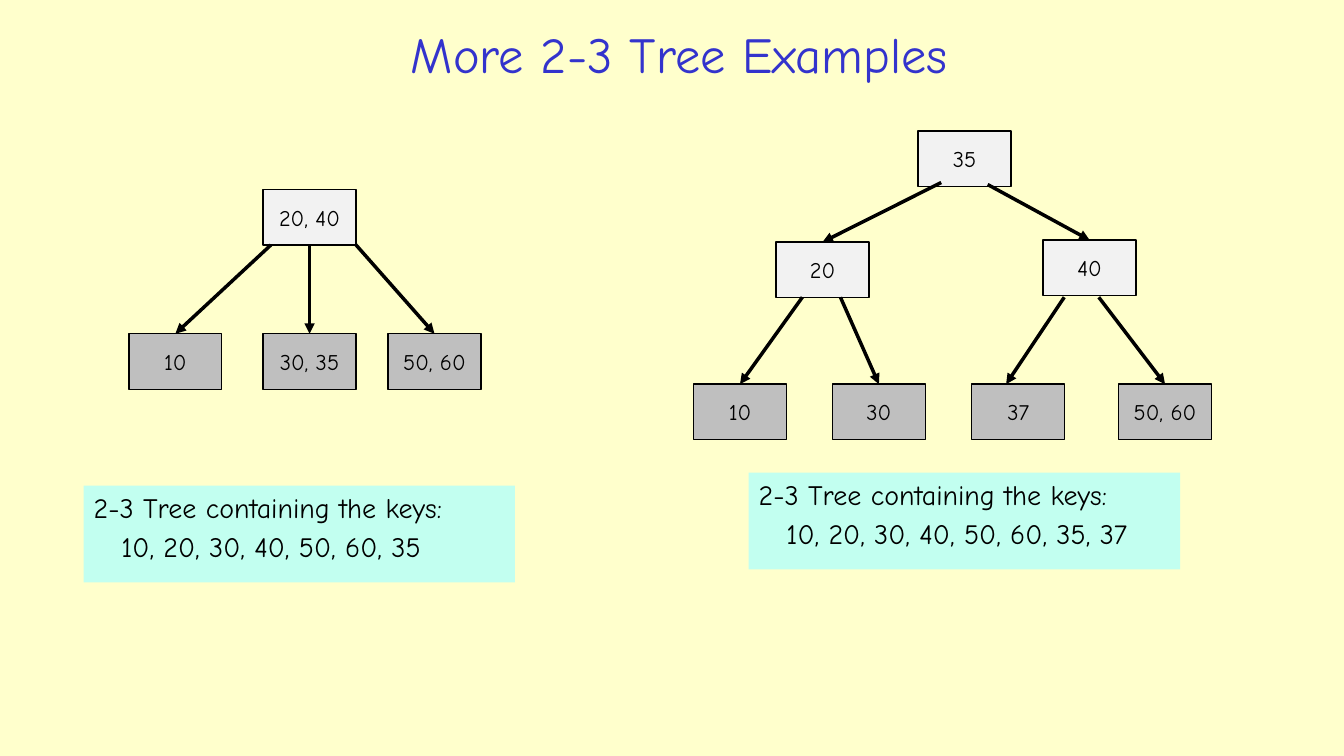
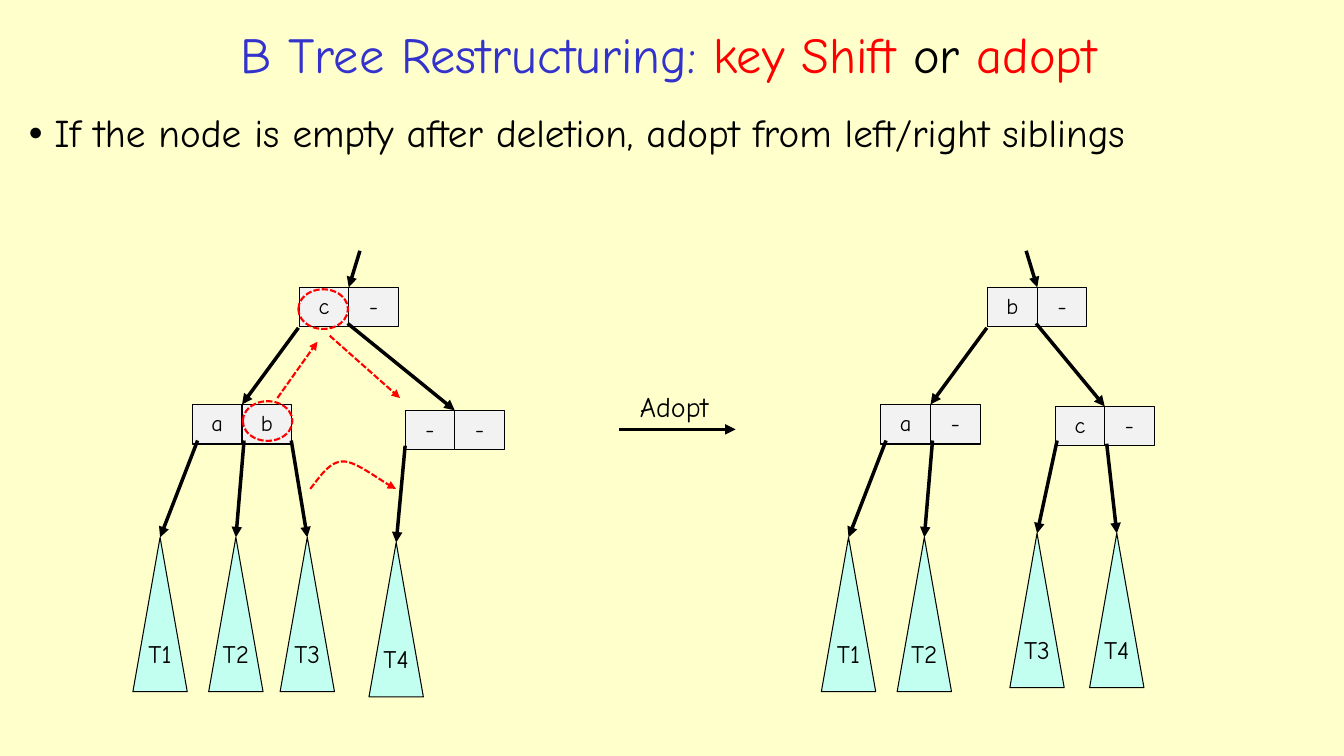
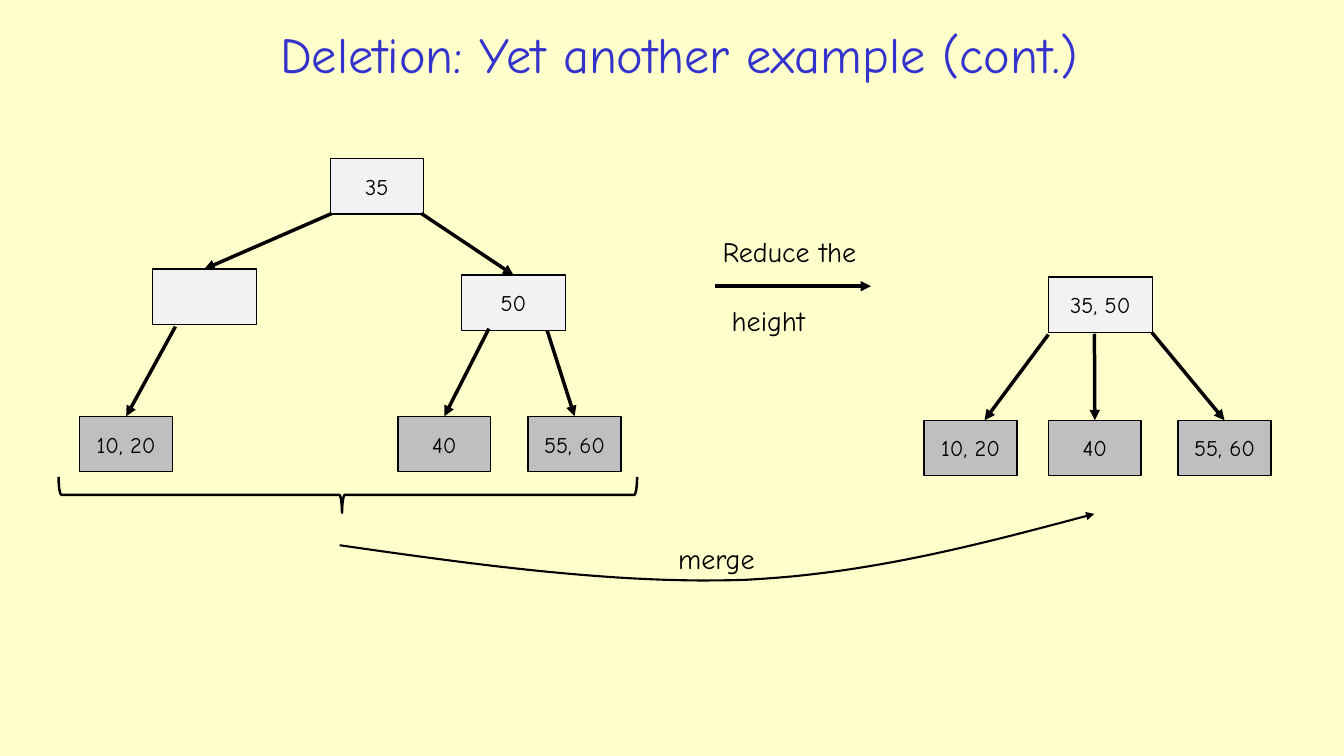
from lxml import etree
from pptx import Presentation
from pptx.dml.color import RGBColor
from pptx.enum.dml import MSO_LINE
from pptx.enum.shapes import MSO_CONNECTOR, MSO_SHAPE
from pptx.enum.text import MSO_ANCHOR, PP_ALIGN
from pptx.oxml.ns import qn
from pptx.util import Cm, Pt

RECTANGLE, TRIANGLE = MSO_SHAPE.RECTANGLE, MSO_SHAPE.ISOSCELES_TRIANGLE
ELLIPSE, BRACE = MSO_SHAPE.OVAL, MSO_SHAPE.RIGHT_BRACE
STRAIGHT, DASHED = MSO_CONNECTOR.STRAIGHT, MSO_LINE.SQUARE_DOT
TOP, MIDDLE = MSO_ANCHOR.TOP, MSO_ANCHOR.MIDDLE
LEFT, CENTER = PP_ALIGN.LEFT, PP_ALIGN.CENTER

FONT = "Comic Neue"
COLORS = {
    "background": "FFFFCC", "title": "3333CC", "black": "000000", "red": "FF0000",
    "inner": "F2F2F2", "leaf": "BFBFBF", "mint": "C2FFF0",
}
RGB = {name: RGBColor.from_string(value) for name, value in COLORS.items()}

NODE_WIDTH, WIDE_NODE, NODE_HEIGHT = 2.34, 2.62, 1.4
CELL_WIDTH, CELL_HEIGHT = 1.25, 1
SUBTREE_WIDTH, SUBTREE_HEIGHT = 1.37, 3.89
CURVE_STEPS = 24


def add_box(page, kind, at, lines=(), size=16, fill=None, line=None, line_color="black",
            anchor=MIDDLE, align=CENTER, wrap=True):
    """Add a shape, or a text box if kind is None; lines holds (words, colour) runs."""
    place = [Cm(length) for length in at]
    if kind is None:
        box = page.shapes.add_textbox(*place)
    else:
        box = page.shapes.add_shape(kind, *place)
        box.shadow.inherit = False
        if fill:
            box.fill.solid()
            box.fill.fore_color.rgb = RGB[fill]
        else:
            box.fill.background()
        if line:
            box.line.color.rgb = RGB[line_color]
            box.line.width = Pt(line)
        else:
            box.line.fill.background()
    frame = box.text_frame
    frame.word_wrap = wrap
    frame.vertical_anchor = anchor
    for number, runs in enumerate(lines):
        para = frame.add_paragraph() if number else frame.paragraphs[0]
        para.alignment = align
        for words, color in runs:
            span = para.add_run()
            span.text = words
            span.font.name = FONT
            span.font.size = Pt(size)
            span.font.color.rgb = RGB[color]
    return box


def add_arrow(page, points, color="black", width=2.5, dashed=False):
    """Draw a straight arrow through two points, or a chain of cubic curves through more."""
    if len(points) == 2:
        arrow = page.shapes.add_connector(STRAIGHT, *[Cm(v) for point in points for v in point])
    else:
        track = []
        for first in range(0, len(points) - 1, 3):
            a, b, c, d = points[first:first + 4]
            for step in range(1, CURVE_STEPS + 1):
                t = step / CURVE_STEPS
                weights = (1 - t) ** 3, 3 * t * (1 - t) ** 2, 3 * t * t * (1 - t), t ** 3
                track.append([Cm(sum(w * p[axis] for w, p in zip(weights, (a, b, c, d))))
                              for axis in (0, 1)])
        builder = page.shapes.build_freeform(Cm(points[0][0]), Cm(points[0][1]))
        builder.add_line_segments(track, close=False)
        arrow = builder.convert_to_shape()
        arrow.fill.background()
    arrow.line.color.rgb = RGB[color]
    arrow.line.width = Pt(width)
    if dashed:
        arrow.line.dash_style = DASHED
    properties = arrow.element.spPr
    etree.SubElement(properties.find(qn("a:ln")), qn("a:tailEnd"), type="triangle")
    etree.SubElement(properties, qn("a:effectLst"))


deck = Presentation()
deck.slide_width, deck.slide_height = Cm(33.87), Cm(19.05)
master_fill = deck.slide_master.background.fill
master_fill.solid()
master_fill.fore_color.rgb = RGB["background"]

# Pages and titles
titles = [
    (5, 24.23, [("More 2-3 Tree Examples", "title")]),
    (2.46, 28.78, [("B Tree Restructuring: ", "title"), ("key Shift ", "red"),
                   ("or", "black"), (" adopt", "red")]),
    (5, 24.23, [("Deletion: Yet another example (cont.)", "title")]),
]
pages = []
for left, width, runs in titles:
    page = deck.slides.add_slide(deck.slide_layouts[6])
    add_box(page, None, (left, 0.38, width, 1.93), [runs], 36)
    pages.append(page)
examples, adoption, deletion = pages

# 2-3 trees: keys, fill, left, top, width, arrow start, share of the width the arrow aims at
trees = [
    (examples, [
        ("20, 40", "inner", 6.63, 4.78, NODE_WIDTH, None, 0.5),
        ("10", "leaf", 3.25, 8.41, NODE_WIDTH, (6.83, 6.17), 0.5),
        ("30, 35", "leaf", 6.63, 8.41, NODE_WIDTH, (7.8, 6.17), 0.5),
        ("50, 60", "leaf", 9.78, 8.41, NODE_WIDTH, (8.97, 6.17), 0.5),
        ("35", "inner", 23.14, 3.3, NODE_WIDTH, None, 0.5),
        ("20", "inner", 19.56, 6.1, NODE_WIDTH, (23.72, 4.6), 0.5),
        ("40", "inner", 26.29, 6.05, NODE_WIDTH, (24.89, 4.65), 0.5),
        ("10", "leaf", 17.48, 9.68, NODE_WIDTH, (20.22, 7.49), 0.5),
        ("30", "leaf", 20.98, 9.68, NODE_WIDTH, (21.18, 7.49), 0.5),
        ("37", "leaf", 24.49, 9.68, NODE_WIDTH, (26.82, 7.49), 0.37),
        ("50, 60", "leaf", 28.19, 9.68, NODE_WIDTH, (27.69, 7.49), 0.5),
    ]),
    (deletion, [
        ("35", "inner", 8.33, 3.99, NODE_WIDTH, None, 0.5),
        ("", "inner", 3.84, 6.78, WIDE_NODE, (8.36, 5.38), 0.5),
        ("50", "inner", 11.63, 6.93, WIDE_NODE, (10.62, 5.38), 0.5),
        ("10, 20", "leaf", 2.01, 10.49, NODE_WIDTH, (4.42, 8.23), 0.5),
        ("40", "leaf", 10.03, 10.49, NODE_WIDTH, (12.32, 8.28), 0.5),
        ("55, 60", "leaf", 13.31, 10.49, NODE_WIDTH, (13.79, 8.33), 0.5),
        ("35, 50", "inner", 26.42, 6.98, WIDE_NODE, None, 0.5),
        ("10, 20", "leaf", 23.29, 10.59, NODE_WIDTH, (26.42, 8.43), 0.65),
        ("40", "leaf", 26.42, 10.59, NODE_WIDTH, (27.58, 8.41), 0.5),
        ("55, 60", "leaf", 29.69, 10.59, NODE_WIDTH, (29.03, 8.38), 0.5),
    ]),
]
for page, nodes in trees:
    for keys, fill, left, top, width, start, aim in nodes:
        lines = [[(keys, "black")]] if keys else []
        add_box(page, RECTANGLE, (left, top, width, NODE_HEIGHT), lines, fill=fill, line=1)
    for keys, fill, left, top, width, start, aim in nodes:
        if start:
            add_arrow(page, [start, (left + aim * width, top)])

# Examples: captions
captions = [
    (2.11, 12.24, "10, 20, 30, 40, 50, 60, 35"),
    (18.87, 11.91, "10, 20, 30, 40, 50, 60, 35, 37"),
]
for left, top, keys in captions:
    lines = [[("2-3 Tree containing the keys:", "black")], [(keys, "black")]]
    caption = add_box(examples, RECTANGLE, (left, top, 10.87, 2.44), lines, 20, "mint",
                      anchor=TOP, align=LEFT)
    key_para = caption.text_frame.paragraphs[1]
    key_para.space_before = Pt(4)
    key_para._p.get_or_add_pPr().set("marL", str(Cm(0.7)))

# Adoption: bullet
bullet = add_box(adoption, None, (0.48, 2.74, 32.72, 1.88),
                 [[("If the node is empty after deletion, adopt from left/right siblings", "black")]],
                 28, anchor=TOP, align=LEFT)
para = bullet.text_frame.paragraphs[0]
para.line_spacing = 0.9
settings = para._p.get_or_add_pPr()
settings.set("marL", str(Cm(0.64)))
settings.set("indent", str(Cm(-0.64)))
etree.SubElement(settings, qn("a:buFont"), typeface="Arial")
etree.SubElement(settings, qn("a:buChar"), char="•")

# Adoption: two-key nodes and subtrees, each with the start of its arrow
pairs = [
    ("c-", 7.54, 7.24, (9.07, 6.32)),
    ("ab", 4.85, 10.19, (7.52, 8.26)),
    ("--", 10.21, 10.34, (8.76, 8.15)),
    ("b-", 24.89, 7.24, (25.86, 6.32)),
    ("a-", 22.2, 10.19, (24.87, 8.26)),
    ("c-", 26.59, 10.24, (26.11, 8.15)),
]
for keys, left, top, start in pairs:
    for column, key in enumerate(keys):
        add_box(adoption, RECTANGLE, (left + column * CELL_WIDTH, top, CELL_WIDTH, CELL_HEIGHT),
                [[(key, "black")]], fill="inner", line=0.75, anchor=TOP)
for keys, left, top, start in pairs:
    add_arrow(adoption, [start, (left + CELL_WIDTH, top)])

subtrees = [
    ("T1", 3.35, 13.54, (4.98, 11.1)),
    ("T2", 5.26, 13.54, (6.15, 11.1)),
    ("T3", 7.06, 13.54, (7.34, 11.1)),
    ("T4", 9.3, 13.67, (10.21, 11.23)),
    ("T1", 20.7, 13.54, (22.33, 11.1)),
    ("T2", 22.61, 13.54, (23.5, 11.1)),
    ("T3", 25.45, 13.44, (26.64, 11.1)),
    ("T4", 27.46, 13.44, (27.89, 11.18)),
]
for name, left, top, start in subtrees:
    add_box(adoption, TRIANGLE, (left, top, SUBTREE_WIDTH, SUBTREE_HEIGHT),
            [[(name, "black")]], 18, "mint", 0.75, wrap=False)
    add_arrow(adoption, [start, (left + SUBTREE_WIDTH / 2, top)])

# Adoption: keys that move
for left, top in [(6.12, 10.11), (7.52, 7.29)]:
    ring = add_box(adoption, ELLIPSE, (left, top, CELL_WIDTH, CELL_HEIGHT),
                   line=1.5, line_color="red")
    ring.line.dash_style = DASHED
moves = [
    [(6.99, 10.03), (8, 8.61)],
    [(8.31, 8.46), (10.08, 10.03)],
    [(7.82, 12.32), (8.08, 11.99), (8.31, 11.63), (8.64, 11.63),
     (8.97, 11.61), (9.58, 12.12), (9.98, 12.32)],
]
for points in moves:
    add_arrow(adoption, points, "red", 1.5, dashed=True)
add_arrow(adoption, [(15.6, 10.82), (18.54, 10.82)])
add_box(adoption, None, (15.72, 9.68, 2.54, 1.12), [[("Adopt", "black")]], 20,
        anchor=TOP, wrap=False)

# Deletion: height reduction and merge
add_arrow(deletion, [(18.01, 7.21), (21.95, 7.21)])
reduction = add_box(deletion, None, (17.96, 5.79, 5.16, 2.82),
                    [[("Reduce the", "black")], [("height", "black")]], 20,
                    anchor=TOP, align=LEFT)
height_para = reduction.text_frame.paragraphs[1]
height_para.space_before = Pt(25)
height_para._p.get_or_add_pPr().set("marL", str(Cm(0.23)))

brace = add_box(deletion, BRACE, (8.31, 5.18, 0.91, 14.58), line=1.75)
brace.rotation = 90
brace.adjustments[0], brace.adjustments[1] = 0.08, 0.51
add_arrow(deletion, [(8.56, 13.74), (12.09, 14.25), (15.65, 14.73), (18.82, 14.61),
                     (22, 14.45), (24.79, 13.69), (27.58, 12.95)], width=1.5)
add_box(deletion, None, (16.84, 13.51, 3.15, 1.12), [[("merge", "black")]], 20,
        anchor=TOP, align=LEFT)

deck.save("out.pptx")
